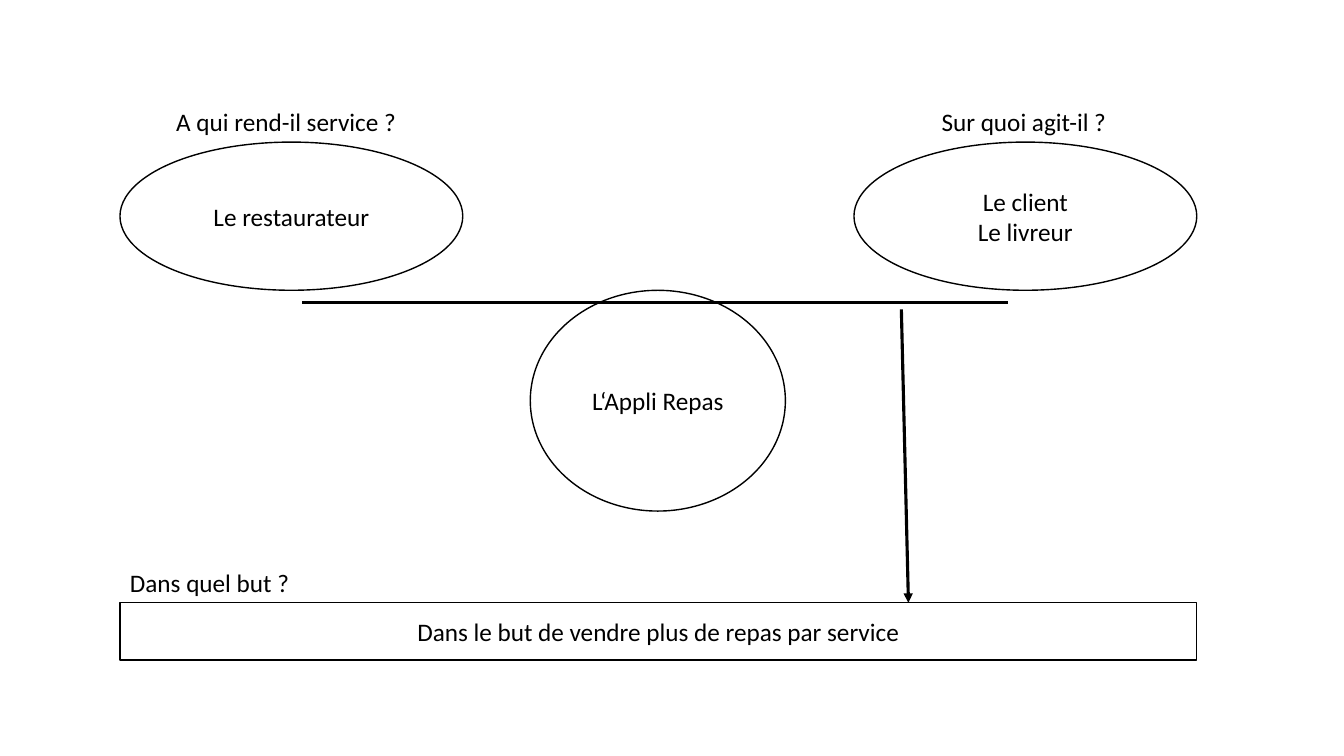
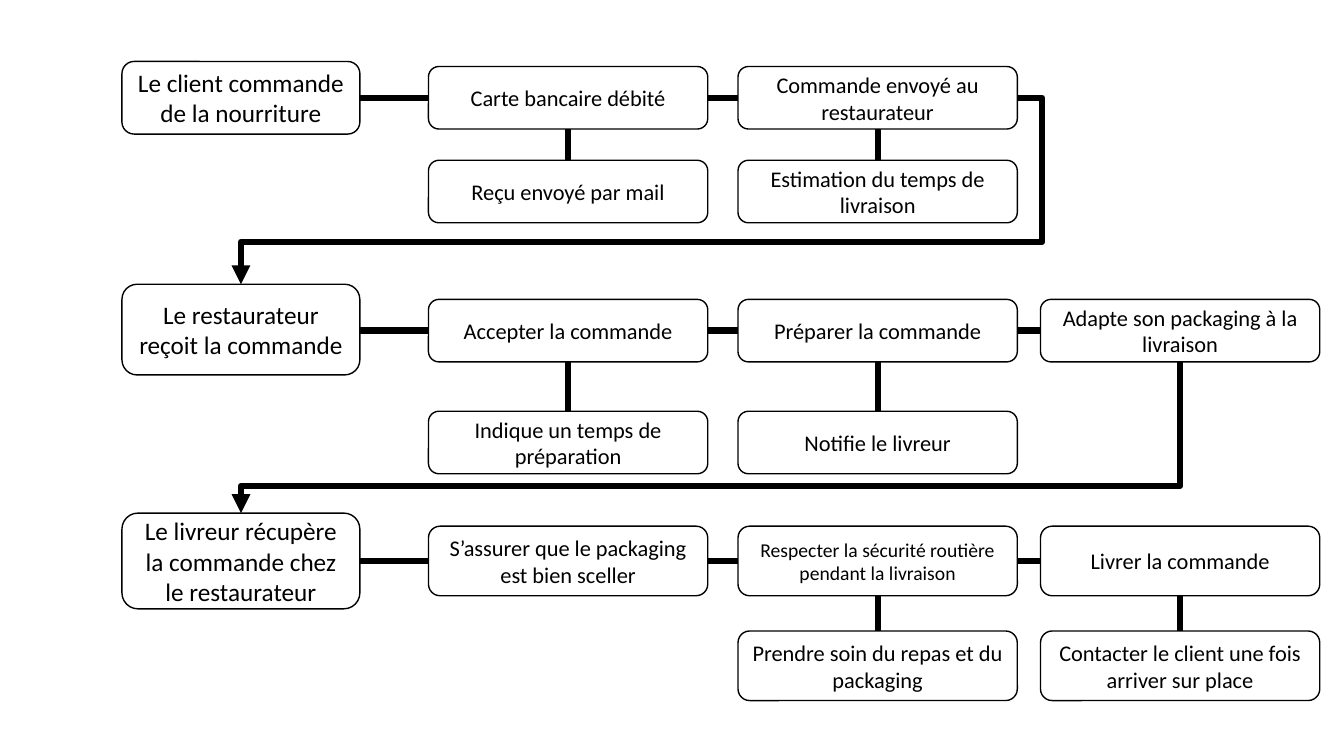
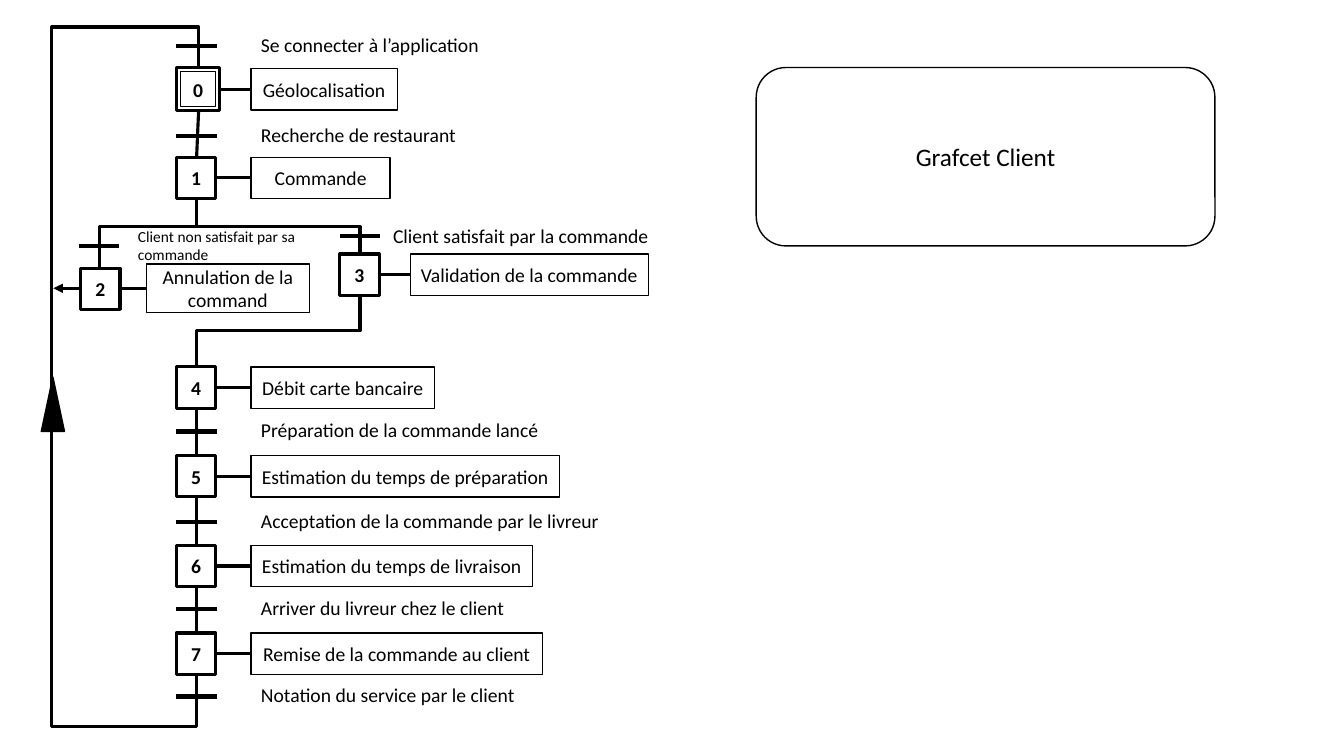
from itertools import pairwise

from lxml.etree import SubElement
from pptx import Presentation
from pptx.dml.color import RGBColor
from pptx.enum.shapes import MSO_CONNECTOR as CONNECTOR, MSO_SHAPE as SHAPE
from pptx.enum.text import MSO_ANCHOR as ANCHOR, PP_ALIGN as ALIGN
from pptx.oxml.ns import qn
from pptx.util import Inches, Pt

COLORS = {"ink": "000000", "paper": "FFFFFF"}
FONT = "Calibri"
INK = RGBColor.from_string(COLORS["ink"])


def write(shape, text, size, align, bold=False):
    """Set the text of a shape, one paragraph per line."""
    shape.text_frame.text = text
    for paragraph in shape.text_frame.paragraphs:
        paragraph.alignment = align
        for run in paragraph.runs:
            run.font.name = FONT
            run.font.size = Pt(size)
            run.font.bold = bold
            run.font.color.rgb = INK


def outline(shape, weight):
    """Give a shape a plain ink line without fill or shadow."""
    shape.shadow.inherit = False
    shape.fill.background()
    shape.line.color.rgb = INK
    shape.line.width = Pt(weight)


def add_box(slide, kind, box, text="", size=14, weight=1, bold=False):
    """Draw an outlined shape with centred text."""
    shape = slide.shapes.add_shape(kind, *map(Inches, box))
    outline(shape, weight)
    if text:
        write(shape, text, size, ALIGN.CENTER, bold)
        shape.text_frame.vertical_anchor = ANCHOR.MIDDLE
        shape.text_frame.word_wrap = True
    return shape


def add_label(slide, box, text, size=14, wrap=False):
    """Place left-aligned text without a frame."""
    shape = slide.shapes.add_textbox(*map(Inches, box))
    write(shape, text, size, ALIGN.LEFT)
    shape.text_frame.word_wrap = wrap


def add_line(slide, start, end, weight=2.25, arrow=False, kind=CONNECTOR.STRAIGHT):
    """Draw a connector, with an arrowhead at its end if asked."""
    connector = slide.shapes.add_connector(kind, *map(Inches, (*start, *end)))
    connector.line.color.rgb = INK
    connector.line.width = Pt(weight)
    if arrow:
        SubElement(connector.line._get_or_add_ln(), qn("a:tailEnd"), type="triangle")
    SubElement(connector.element.spPr, qn("a:effectLst"))
    return connector


def add_bent(slide, start, end, turns, vertical=True, weight=2.25, arrow=False):
    """Draw an elbow connector whose inner legs lie at the given coordinates."""
    connector = add_line(slide, start, end, weight, arrow, CONNECTOR.ELBOW)
    properties = connector.element.spPr
    if vertical:
        width, height = abs(end[1] - start[1]), abs(end[0] - start[0])
        connector.left = Inches((start[0] + end[0] - width) / 2)
        connector.top = Inches((start[1] + end[1] - height) / 2)
        connector.width, connector.height = Inches(width), Inches(height)
        frame = properties.find(qn("a:xfrm"))
        frame.set("rot", "5400000")
        frame.set("flipH", "0")
        frame.set("flipV", "1" if end[0] > start[0] else "0")
    geometry = properties.find(qn("a:prstGeom"))
    geometry.set("prst", f"bentConnector{len(turns) + 2}")
    adjustments = geometry.find(qn("a:avLst"))
    for index, turn in enumerate(turns):
        axis = (index + vertical) % 2
        share = (turn - start[axis]) / (end[axis] - start[axis])
        SubElement(adjustments, qn("a:gd"), name=f"adj{index + 1}",
                   fmla=f"val {round(share * 100000)}")


def add_curve(slide, start, controls, weight):
    """Draw an open Bezier curve, three control points per segment."""
    builder = slide.shapes.build_freeform(*start, scale=Inches(1))
    builder.add_line_segments(controls, close=False)
    shape = builder.convert_to_shape()
    outline(shape, weight)
    path = shape.element.find(".//" + qn("a:path"))
    legs = path.findall(qn("a:lnTo"))
    for first in range(0, len(legs), 3):
        segment = SubElement(path, qn("a:cubicBezTo"))
        for leg in legs[first:first + 3]:
            segment.append(leg[0])
            path.remove(leg)


def need_diagram(slide, left, top, width):
    """Show who the service helps, what it acts on and its purpose."""
    oval_width, oval_height = 3.4, 1.47
    right = left + width - oval_width
    purpose_top = top + 4.57
    add_box(slide, SHAPE.RECTANGLE, (left, purpose_top, width, 0.57),
            "Dans le but de vendre plus de repas par service", 18)
    for oval_left, text in ((left, "Le restaurateur"), (right, "Le client\nLe livreur")):
        add_box(slide, SHAPE.OVAL, (oval_left, top, oval_width, oval_height), text, 18)
    add_box(slide, SHAPE.OVAL, (left + 4.07, top + oval_height, 2.53, 2.19), "L‘Appli Repas", 18)
    add_curve(slide, (2.82, 2.89), [(4.01, 3.15), (5.2, 3.41), (6.44, 3.42),
                                    (7.68, 3.42), (9.66, 2.85), (10.27, 2.9)], 2.25)
    add_line(slide, (8.94, 3.07), (9.01, purpose_top), arrow=True)
    add_label(slide, (left + 0.46, top - 0.4, 2.47, 0.4), "A qui rend-il service ?", 18)
    add_label(slide, (right + 0.77, top - 0.4, 1.86, 0.4), "Sur quoi agit-il ?", 18)
    add_label(slide, (left, purpose_top - 0.4, 1.92, 0.4), "Dans quel but ?", 18)


STAGE_LEFT, STAGE_WIDTH = 1.21, 2.36
STAGE_MIDDLE = STAGE_LEFT + STAGE_WIDTH / 2
ACTION_LEFTS, ACTION_WIDTH = (4.25, 7.32, 10.32), 2.77
FLOW_WEIGHT = 4.5
FLOW = [
    dict(stage="Le client commande de la nourriture", stage_top=0.61, stage_height=0.72,
         top=0.66, height=0.62, detail_top=1.59,
         actions=["Carte bancaire débité", "Commande envoyé au restaurateur"],
         details=["Reçu envoyé par mail", "Estimation du temps de livraison"]),
    dict(stage="Le restaurateur reçoit la commande", stage_top=2.82, stage_height=0.9,
         top=2.97, height=0.62, detail_top=4.08,
         actions=["Accepter la commande", "Préparer la commande",
                  "Adapte son packaging à la livraison"],
         details=["Indique un temps de préparation", "Notifie le livreur"]),
    dict(stage="Le livreur récupère la commande chez le restaurateur",
         stage_top=5.09, stage_height=0.95, top=5.22, height=0.69, detail_top=6.26,
         actions=["S’assurer que le packaging est bien sceller",
                  "Respecter la sécurité routière pendant la livraison", "Livrer la commande"],
         details=["", "Prendre soin du repas et du packaging",
                  "Contacter le client une fois arriver sur place"]),
]


def flow_row(slide, stage, stage_top, stage_height, top, height, detail_top, actions, details):
    """Draw a stage, its chain of actions and the details below them."""
    add_box(slide, SHAPE.ROUNDED_RECTANGLE,
            (STAGE_LEFT, stage_top, STAGE_WIDTH, stage_height), stage, 18)
    middle = top + height / 2
    previous_right = STAGE_LEFT + STAGE_WIDTH
    for left, action in zip(ACTION_LEFTS, actions):
        size = 14 if len(action) > 45 else 16
        add_box(slide, SHAPE.ROUNDED_RECTANGLE, (left, top, ACTION_WIDTH, height), action, size)
        add_line(slide, (previous_right, middle), (left, middle), FLOW_WEIGHT)
        previous_right = left + ACTION_WIDTH
    for left, detail in zip(ACTION_LEFTS, details):
        if detail:
            center = left + ACTION_WIDTH / 2
            add_box(slide, SHAPE.ROUNDED_RECTANGLE,
                    (left, detail_top, ACTION_WIDTH, height), detail, 16)
            add_line(slide, (center, top + height), (center, detail_top), FLOW_WEIGHT)


def flow_diagram(slide):
    """Stack the stages and link each one to the next."""
    for row in FLOW:
        flow_row(slide, **row)
    order, kitchen, delivery = FLOW
    order_right = ACTION_LEFTS[1] + ACTION_WIDTH
    add_bent(slide, (order_right, order["top"] + order["height"] / 2),
             (STAGE_MIDDLE, kitchen["stage_top"]), [order_right + 0.25, 2.4],
             vertical=False, weight=FLOW_WEIGHT, arrow=True)
    add_bent(slide, (ACTION_LEFTS[2] + ACTION_WIDTH / 2, kitchen["top"] + kitchen["height"]),
             (STAGE_MIDDLE, delivery["stage_top"]), [4.82], weight=FLOW_WEIGHT, arrow=True)


STEP_WIDTH, STEP_HEIGHT = 0.39, 0.41
MAIN_LEFT, MAIN_TEXT_LEFT = 1.75, 2.49
MAIN_CENTER = 1.95
MAIN_STEPS = [
    ("1", 1.56, "Commande", 1.38),
    ("4", 3.64, "Débit carte bancaire", 1.82),
    ("5", 4.52, "Estimation du temps de préparation", 3.06),
    ("6", 5.41, "Estimation du temps de livraison", 2.79),
    ("7", 6.28, "Remise de la commande au client", 2.89),
]
MAIN_TRANSITIONS = [
    (0.46, "Se connecter à l’application", 2.45),
    (1.35, "Recherche de restaurant", 2.15),
    (4.28, "Préparation de la commande lancé", 2.98),
    (5.18, "Acceptation de la commande par le livreur", 3.58),
    (6.04, "Arriver du livreur chez le client", 2.64),
    (6.91, "Notation du service par le client", 2.74),
]


def grafcet_step(slide, number, box, action, action_box):
    """Draw a numbered step linked to its action."""
    left, top, width, height = box
    middle = top + height / 2
    add_box(slide, SHAPE.RECTANGLE, box, number, weight=2.25, bold=True)
    add_box(slide, SHAPE.RECTANGLE, action_box, action)
    add_line(slide, (left + width, middle), (action_box[0], middle))


def transition_bar(slide, left, y):
    """Draw the bar of a transition."""
    add_line(slide, (left, y), (left + 0.4, y), weight=3)


def grafcet_main(slide):
    """Draw the main column of steps and transitions."""
    add_box(slide, SHAPE.RECTANGLE, (1.79, 0.71, 0.35, 0.35))
    grafcet_step(slide, "0", (MAIN_LEFT, 0.67, 0.43, 0.43), "Géolocalisation",
                 (MAIN_TEXT_LEFT, 0.68, 1.45, STEP_HEIGHT))
    add_line(slide, (MAIN_CENTER, 1.56), (1.97, 1.1))
    for number, top, action, width in MAIN_STEPS:
        grafcet_step(slide, number, (MAIN_LEFT, top, STEP_WIDTH, STEP_HEIGHT), action,
                     (MAIN_TEXT_LEFT, top, width, STEP_HEIGHT))
    for upper, lower in pairwise(MAIN_STEPS[1:]):
        add_line(slide, (MAIN_CENTER, upper[1] + STEP_HEIGHT), (MAIN_CENTER, lower[1]))
    for y, text, width in MAIN_TRANSITIONS:
        transition_bar(slide, MAIN_LEFT, y)
        add_label(slide, (MAIN_TEXT_LEFT, y - 0.18, width, 0.34), text)


def grafcet_branches(slide):
    """Draw the two outcomes of the order and the way back to the start."""
    cancel, confirm = (0.99, 2.66), (3.57, 2.52)
    fork, debit = (MAIN_CENTER, 1.97), (MAIN_CENTER, 3.64)
    grafcet_step(slide, "2", (0.8, cancel[1], STEP_WIDTH, STEP_HEIGHT),
                 "Annulation de la command", (1.45, 2.62, 1.62, 0.48))
    grafcet_step(slide, "3", (3.37, confirm[1], STEP_WIDTH, STEP_HEIGHT),
                 "Validation de la commande", (4.07, confirm[1], 2.36, STEP_HEIGHT))
    add_bent(slide, fork, cancel, [2.25])
    add_bent(slide, fork, confirm, [2.25])
    add_bent(slide, (confirm[0], confirm[1] + STEP_HEIGHT), debit, [3.28])
    transition_bar(slide, 0.78, 2.44)
    transition_bar(slide, 3.37, 2.34)
    add_label(slide, (1.27, 2.2, 2.14, 0.47), "Client non satisfait par sa commande", 11, wrap=True)
    add_label(slide, (3.8, 2.17, 2.76, 0.34), "Client satisfait par la commande")
    add_bent(slide, (1.97, 0.67), (MAIN_CENTER, 6.68), [0.27, 0.52, 7.21])
    add_line(slide, (0.8, 2.86), (0.53, 2.86), arrow=True)
    marker = add_box(slide, SHAPE.ISOSCELES_TRIANGLE, (0.41, 3.74, 0.23, 0.54))
    marker.fill.solid()
    marker.fill.fore_color.rgb = INK


def new_slide(presentation):
    """Add a blank slide on plain paper."""
    slide = presentation.slides.add_slide(presentation.slide_layouts[6])
    slide.background.fill.solid()
    slide.background.fill.fore_color.rgb = RGBColor.from_string(COLORS["paper"])
    return slide


def main():
    """Build and save the presentation."""
    presentation = Presentation()
    presentation.slide_width, presentation.slide_height = Inches(13.33), Inches(7.5)
    need_diagram(new_slide(presentation), 1.19, 1.41, 10.68)
    flow_diagram(new_slide(presentation))
    grafcet = new_slide(presentation)
    grafcet_main(grafcet)
    grafcet_branches(grafcet)
    add_box(grafcet, SHAPE.ROUNDED_RECTANGLE, (7.5, 0.67, 4.55, 1.77), "Grafcet Client", 18)
    presentation.save("out.pptx")


main()
